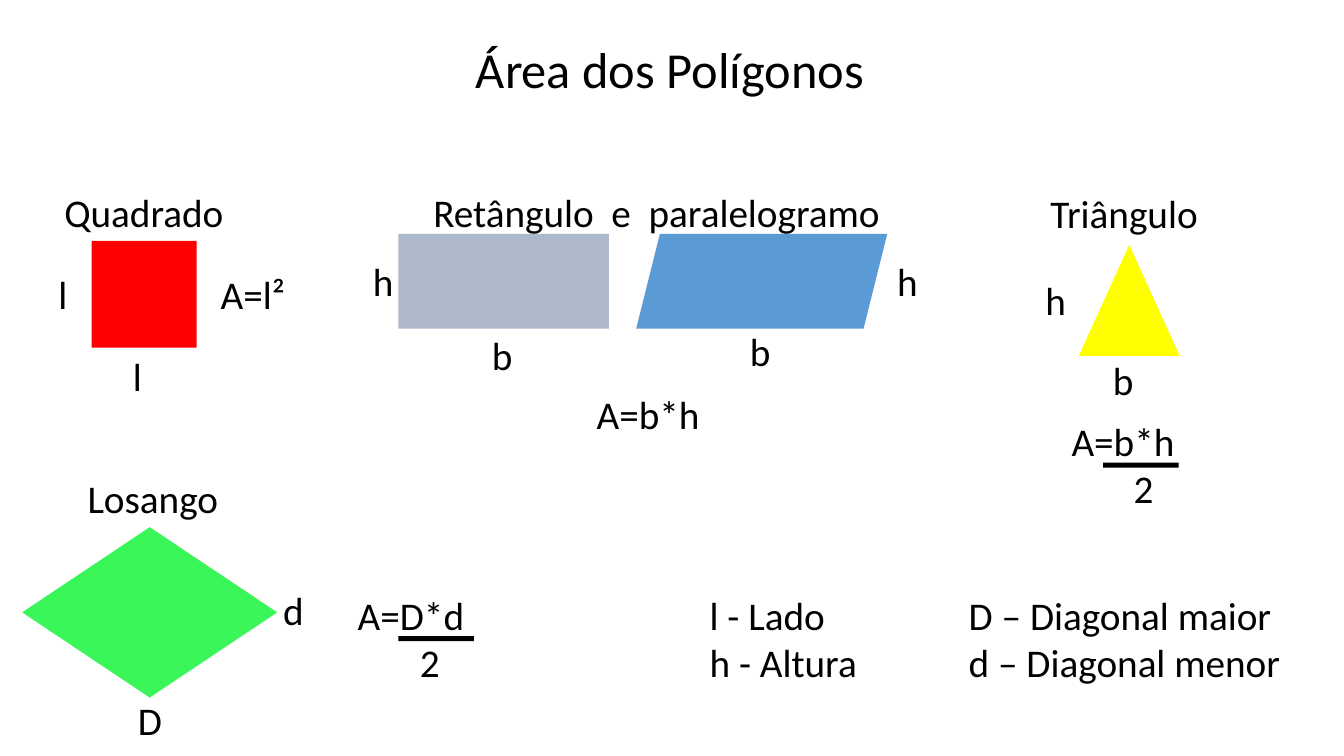
from dataclasses import dataclass

from pptx import Presentation, util as u
from pptx.dml.color import RGBColor
from pptx.enum import shapes, text
from pptx.shapes.autoshape import Shape
from pptx.slide import Slide

BLACK = RGBColor(0x00, 0x00, 0x00)
RED = RGBColor(0xFF, 0x00, 0x00)
GREY_BLUE = RGBColor(0xAD, 0xB9, 0xCA)
BLUE = RGBColor(0x5B, 0x9B, 0xD5)
YELLOW = RGBColor(0xFF, 0xFF, 0x00)
GREEN = RGBColor(0x3A, 0xF6, 0x59)

FONT = "Calibri"
BODY_SIZE = 28
TITLE_SIZE = 36
CELL = u.Inches(0.1)  # one column or row of the grid
COLUMNS, ROWS = 133.3, 75
LINE_ROWS = 4.7
PADDING_ROWS = 1
LETTER_COLUMNS = 4.3
DENOMINATOR_INDENT = 44.3
WIDE_SPACE = 630  # extra width of a word gap, in hundredths of a point


@dataclass(frozen=True)
class Run:
    words: str
    tracking: int = 0


@dataclass(frozen=True)
class Label:
    left: float
    top: float
    width: float
    lines: tuple[tuple[Run, ...], ...]
    last_indent: float = 0


@dataclass(frozen=True)
class Polygon:
    kind: shapes.MSO_SHAPE
    left: float
    top: float
    width: float
    height: float
    color: RGBColor


@dataclass(frozen=True)
class Fraction:
    left: float
    top: float
    numerator: str
    denominator: str
    bar_left: float
    bar_top: float


def label(left: float, top: float, width: float, *lines: str) -> Label:
    return Label(left, top, width, tuple((Run(line),) for line in lines))


def letter(left: float, top: float, symbol: str) -> Label:
    return label(left, top, LETTER_COLUMNS, symbol)


POLYGONS = (
    Polygon(shapes.MSO_SHAPE.RECTANGLE, 9.1, 23.9, 10.4, 10.6, RED),
    Polygon(shapes.MSO_SHAPE.RECTANGLE, 39.5, 23.2, 20.9, 9.4, GREY_BLUE),
    Polygon(shapes.MSO_SHAPE.PARALLELOGRAM, 63.1, 23.2, 24.9, 9.4, BLUE),
    Polygon(shapes.MSO_SHAPE.ISOSCELES_TRIANGLE, 107, 24.3, 10, 11, YELLOW),
    Polygon(shapes.MSO_SHAPE.DIAMOND, 2.2, 52.3, 25.3, 16.9, GREEN),
)

GAP = Run(" ", WIDE_SPACE)
NAMES = (
    label(5.4, 18.2, 19, "Quadrado"),
    Label(42, 18.2, 47, ((Run("Retângulo"), GAP, Run("e"), GAP, Run("paralelogramo")),)),
    label(103.2, 18.3, 16.9, "Triângulo"),
    label(7.7, 46.6, 16, "Losango"),
)
SIDES = (
    letter(12.2, 34.5, "l"),
    letter(4.8, 26.3, "l"),
    letter(47.8, 32.4, "b"),
    letter(36, 25, "h"),
    letter(88, 25, "h"),
    letter(73.4, 32, "b"),
    letter(102.7, 26.9, "h"),
    letter(109.4, 34.9, "b"),
    letter(12.7, 68.6, "D"),
    letter(27.1, 57.7, "d"),
)
FORMULAS = (
    label(20.9, 26.3, 9.9, "A=l²"),
    label(58.2, 38.2, 13.3, "A=b*h"),
)
LEGEND = (
    label(69.4, 58.2, 17.3, "l - Lado", "h - Altura"),
    label(95.1, 58.2, 33, "D – Diagonal maior", "d – Diagonal menor"),
)
FRACTIONS = (
    Fraction(105.3, 40.9, "A=b*h", "2", 109.4, 45.9),
    Fraction(34.5, 58.2, "A=D*d", "2", 39.5, 63.1),
)


def grid(count: float) -> u.Emu:
    return u.Emu(round(count * CELL))


def add_run(paragraph, run: Run, size: float) -> None:
    piece = paragraph.add_run()
    piece.text = run.words
    piece.font.name = FONT
    piece.font.size = u.Pt(size)
    piece.font.color.rgb = BLACK
    if run.tracking:
        piece.font._element.set("spc", str(run.tracking))


def draw_label(slide: Slide, item: Label) -> None:
    height = PADDING_ROWS + LINE_ROWS * len(item.lines)
    box = slide.shapes.add_textbox(
        grid(item.left), grid(item.top), grid(item.width), grid(height))
    frame = box.text_frame
    frame.word_wrap = True
    for index, line in enumerate(item.lines):
        paragraph = frame.add_paragraph() if index else frame.paragraphs[0]
        for run in line:
            add_run(paragraph, run, BODY_SIZE)
    if item.last_indent:
        paragraph._p.get_or_add_pPr().set("marL", str(u.Pt(item.last_indent)))


def draw_polygon(slide: Slide, item: Polygon) -> Shape:
    shape = slide.shapes.add_shape(
        item.kind, grid(item.left), grid(item.top), grid(item.width), grid(item.height))
    shape.shadow.inherit = False
    shape.fill.solid()
    shape.fill.fore_color.rgb = item.color
    shape.line.fill.background()
    return shape


def draw_fraction(slide: Slide, item: Fraction) -> None:
    lines = ((Run(item.numerator),), (Run(item.denominator),))
    draw_label(slide, Label(item.left, item.top, 13.3, lines, DENOMINATOR_INDENT))
    draw_polygon(slide, Polygon(
        shapes.MSO_SHAPE.RECTANGLE, item.bar_left, item.bar_top, 7.5, 0.5, BLACK))


def write_title(slide: Slide, words: str) -> None:
    title = slide.shapes.title
    title.left, title.top = grid(46.2), grid(3.3)
    title.width, title.height = grid(40.9), grid(7.1)
    frame = title.text_frame
    frame.word_wrap = True
    frame.auto_size = text.MSO_AUTO_SIZE.NONE
    frame.vertical_anchor = text.MSO_ANCHOR.TOP
    paragraph = frame.paragraphs[0]
    paragraph.alignment = text.PP_ALIGN.LEFT
    add_run(paragraph, Run(words), TITLE_SIZE)


def main() -> None:
    deck = Presentation()
    deck.slide_width, deck.slide_height = grid(COLUMNS), grid(ROWS)
    slide = deck.slides.add_slide(deck.slide_layouts.get_by_name("Title Only"))
    write_title(slide, "Área dos Polígonos")
    for polygon in POLYGONS:
        draw_polygon(slide, polygon)
    for item in NAMES + SIDES + FORMULAS + LEGEND:
        draw_label(slide, item)
    for fraction in FRACTIONS:
        draw_fraction(slide, fraction)
    deck.save("out.pptx")


if __name__ == "__main__":
    main()
